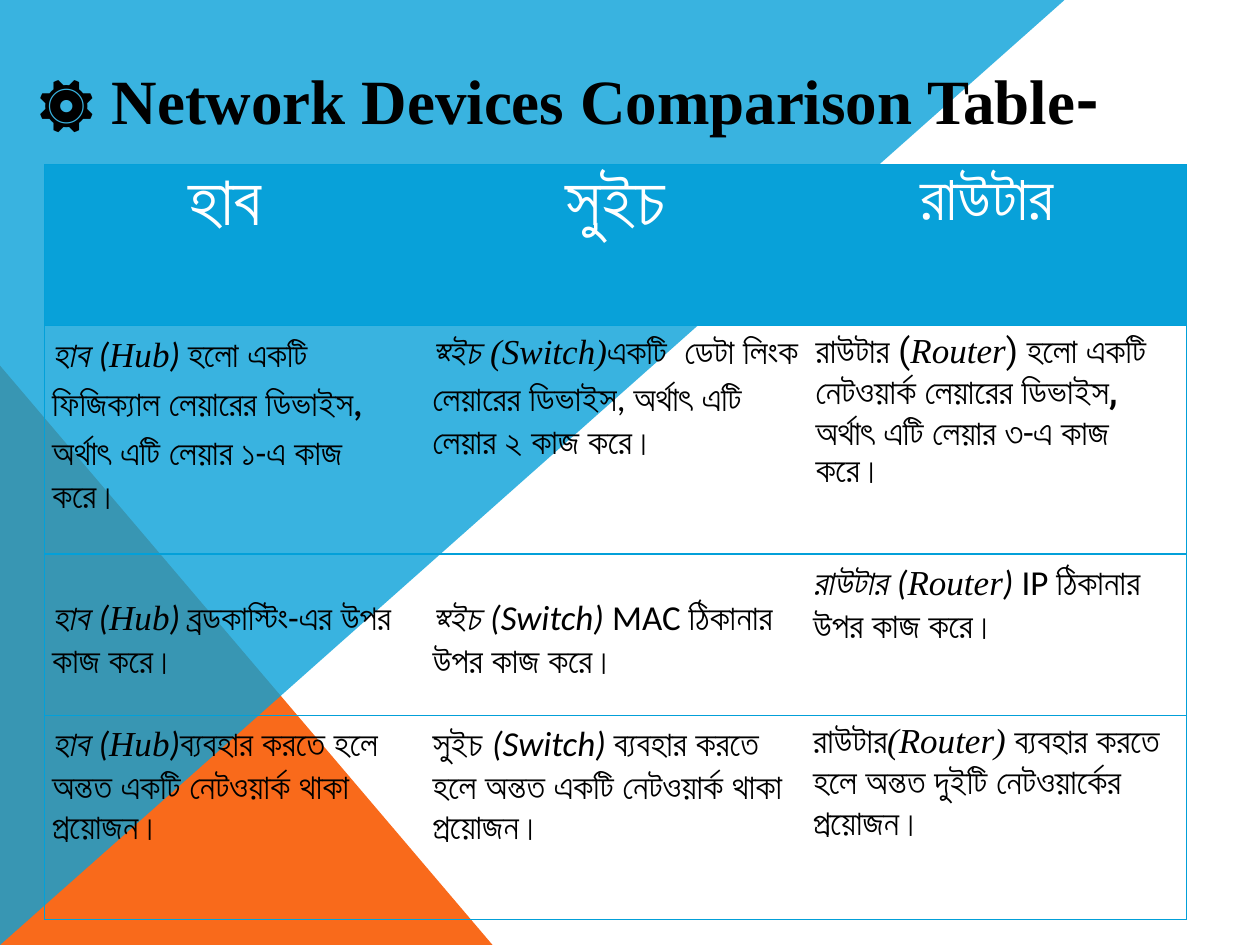
from dataclasses import dataclass

from lxml.etree import SubElement
from pptx import Presentation
from pptx.dml.color import RGBColor
from pptx.enum.shapes import MSO_SHAPE
from pptx.enum.text import MSO_ANCHOR, MSO_AUTO_SIZE, PP_ALIGN
from pptx.oxml import parse_xml
from pptx.oxml.ns import nsdecls, qn
from pptx.util import Cm, Pt


@dataclass(frozen=True)
class Theme:
    blue: str = "08A1D9"
    orange: str = "F96A1B"
    border: str = "03A0D9"
    black: str = "000000"
    white: str = "FFFFFF"
    title_size: int = 36
    body_size: int = 20
    border_width: float = 0.75
    body_spacing: float = 1.15


THEME = Theme()
SERIF, SANS, DISPLAY = "Times New Roman", "Calibri", "Roboto"


@dataclass(frozen=True)
class Span:
    text: str
    font: str = SERIF
    bold: bool = False
    italic: bool = False


@dataclass(frozen=True)
class CellText:
    spans: list[Span]
    size: int = THEME.body_size
    color: str = THEME.black
    fill: str | None = None
    align: PP_ALIGN = PP_ALIGN.LEFT
    anchor: MSO_ANCHOR = MSO_ANCHOR.TOP
    spacing: float = THEME.body_spacing
    margins: tuple[float, float, float] = (0.15, 0.03, 0)  # sides, top, bottom


@dataclass(frozen=True)
class Triangle:
    left: float
    top: float
    width: float
    height: float
    color: str
    opacity: int = 100
    rotation: int = 0


WIDE_MARGINS = (0.2, 0.1, 0.1)


def heading(text: str, size: int) -> CellText:
    return CellText([Span(text, DISPLAY, bold=True)], size, THEME.white, THEME.blue,
                    PP_ALIGN.CENTER, spacing=1.0, margins=WIDE_MARGINS)


def device(name: str, english: str, closing: str = ") ") -> list[Span]:
    """Bengali device name followed by its English name in brackets."""
    return [Span(name, bold=True, italic=True), Span("(", SANS, italic=True),
            Span(english, italic=True), Span(closing, SANS, italic=True)]


TITLE = [Span("⚙ ", DISPLAY), Span("Network Devices Comparison Table", bold=True),
         Span("-", DISPLAY, bold=True)]

TRIANGLES = [
    Triangle(0, 7.37, 9.93, 11.68, THEME.orange),
    Triangle(1.2, -1.2, 19.05, 21.46, THEME.blue, opacity=80, rotation=90),
]

COLUMN_WIDTH = 7.67
ROW_HEIGHTS = [3.25, 4.6, 3.25, 4.11]

ROWS = [
    [heading("হাব ", 40), heading("সুইচ", 40), heading("রাউটার ", 36)],
    [
        CellText(device("হাব ", "Hub") + [
            Span("হলো একটি ফিজিক্যাল লেয়ারের ডিভাইস"), Span(", ", SANS, bold=True),
            Span("অর্থাৎ এটি লেয়ার "), Span("১", bold=True), Span("-", SANS),
            Span("এ কাজ করে।")]),
        CellText([
            Span("সুইচ ", bold=True, italic=True), Span("(Switch)", italic=True),
            Span("একটি  ডেটা লিংক লেয়ারের ডিভাইস"), Span(", ", SANS),
            Span("অর্থাৎ এটি লেয়ার ২ কাজ করে।")]),
        CellText([
            Span("রাউটার", DISPLAY, bold=True), Span(" (", DISPLAY),
            Span("Router", italic=True),
            Span(") হলো একটি নেটওয়ার্ক লেয়ারের ডিভাইস", DISPLAY),
            Span(",", DISPLAY, bold=True),
            Span(" অর্থাৎ এটি লেয়ার ৩-এ কাজ করে।", DISPLAY)],
            spacing=1.0, margins=WIDE_MARGINS),
    ],
    [
        CellText(device("হাব ", "Hub") + [
            Span("ব্রডকাস্টিং"), Span("-", SANS), Span("এর উপর কাজ করে।")],
            anchor=MSO_ANCHOR.MIDDLE),
        CellText([
            Span("সুইচ ", bold=True, italic=True), Span("(Switch) ", SANS, italic=True),
            Span("MAC ", SANS), Span("ঠিকানার উপর কাজ করে।")],
            anchor=MSO_ANCHOR.MIDDLE),
        CellText(device("রাউটার ", "Router") + [
            Span("IP ", SANS), Span("ঠিকানার উপর কাজ করে।")]),
    ],
    [
        CellText(device("হাব ", "Hub", ")") + [
            Span("ব্যবহার করতে হলে অন্তত একটি নেটওয়ার্ক থাকা প্রয়োজন।")]),
        CellText([
            Span("সুইচ ", bold=True), Span("(Switch) ", SANS, italic=True),
            Span("ব্যবহার করতে হলে অন্তত একটি নেটওয়ার্ক থাকা প্রয়োজন।")]),
        CellText([
            Span("রাউটার", bold=True), Span("(Router) ", italic=True),
            Span("ব্যবহার করতে হলে অন্তত দুইটি নেটওয়ার্কের প্রয়োজন।")]),
    ],
]


def write_spans(paragraph, spans: list[Span], size: int, color: str) -> None:
    for span in spans:
        run = paragraph.add_run()
        run.text = span.text
        run.font.name = span.font
        run.font.size = Pt(size)
        run.font.bold = span.bold
        run.font.italic = span.italic
        run.font.color.rgb = RGBColor.from_string(color)


def draw_triangle(page, triangle: Triangle) -> None:
    shape = page.shapes.add_shape(
        MSO_SHAPE.RIGHT_TRIANGLE, Cm(triangle.left), Cm(triangle.top),
        Cm(triangle.width), Cm(triangle.height))
    shape.rotation = triangle.rotation
    shape.shadow.inherit = False
    shape.line.fill.background()
    shape.fill.solid()
    shape.fill.fore_color.rgb = RGBColor.from_string(triangle.color)
    if triangle.opacity < 100:
        color = shape.element.spPr.find(qn("a:solidFill"))[0]
        SubElement(color, qn("a:alpha"), val=str(triangle.opacity * 1000))


def draw_title(page) -> None:
    title = page.shapes.title
    title.element.getparent().append(title.element)  # in front of the triangles
    title.left, title.top, title.width, title.height = Cm(0.5), Cm(1.12), Cm(22.28), Cm(1.8)
    frame = title.text_frame
    frame.word_wrap = False
    frame.auto_size = MSO_AUTO_SIZE.SHAPE_TO_FIT_TEXT
    frame.vertical_anchor = MSO_ANCHOR.TOP
    frame.paragraphs[0].alignment = PP_ALIGN.LEFT
    write_spans(frame.paragraphs[0], TITLE, THEME.title_size, THEME.black)


def set_borders(cell, sides: str) -> None:
    """Draw the sides named by letter; they must come in the order L, R, T, B."""
    properties = cell._tc.get_or_add_tcPr()
    for position, side in enumerate(sides):
        properties.insert(position, parse_xml(
            f'<a:ln{side} {nsdecls("a")} w="{Pt(THEME.border_width)}"><a:solidFill>'
            f'<a:srgbClr val="{THEME.border}"/></a:solidFill></a:ln{side}>'))


def fill_cell(cell, content: CellText, sides: str) -> None:
    side_margin, top_margin, bottom_margin = content.margins
    cell.margin_left = cell.margin_right = Cm(side_margin)
    cell.margin_top, cell.margin_bottom = Cm(top_margin), Cm(bottom_margin)
    cell.vertical_anchor = content.anchor
    if content.fill:
        cell.fill.solid()
        cell.fill.fore_color.rgb = RGBColor.from_string(content.fill)
    else:
        cell.fill.background()
    paragraph = cell.text_frame.paragraphs[0]
    paragraph.alignment = content.align
    paragraph.line_spacing = content.spacing
    write_spans(paragraph, content.spans, content.size, content.color)
    set_borders(cell, sides)


def draw_table(page) -> None:
    column_sides = ["LTB", "TB", "RTB"]
    table = page.shapes.add_table(
        len(ROWS), len(column_sides), Cm(0.9), Cm(3.32),
        Cm(COLUMN_WIDTH * len(column_sides)), Cm(sum(ROW_HEIGHTS))).table
    table.horz_banding = False
    # "No Style, No Grid"
    table._tbl.tblPr.find(qn("a:tableStyleId")).text = "{2D5ABB26-0587-4C30-8999-92F81FD0307C}"
    for column in table.columns:
        column.width = Cm(COLUMN_WIDTH)
    for row, height, contents in zip(table.rows, ROW_HEIGHTS, ROWS):
        row.height = Cm(height)
        for cell, content, sides in zip(row.cells, contents, column_sides):
            fill_cell(cell, content, sides)


def main() -> None:
    deck = Presentation()
    deck.slide_width, deck.slide_height = Cm(25.4), Cm(19.05)
    page = deck.slides.add_slide(deck.slide_layouts[5])
    for triangle in TRIANGLES:
        draw_triangle(page, triangle)
    draw_title(page)
    draw_table(page)
    deck.save("out.pptx")


if __name__ == "__main__":
    main()
